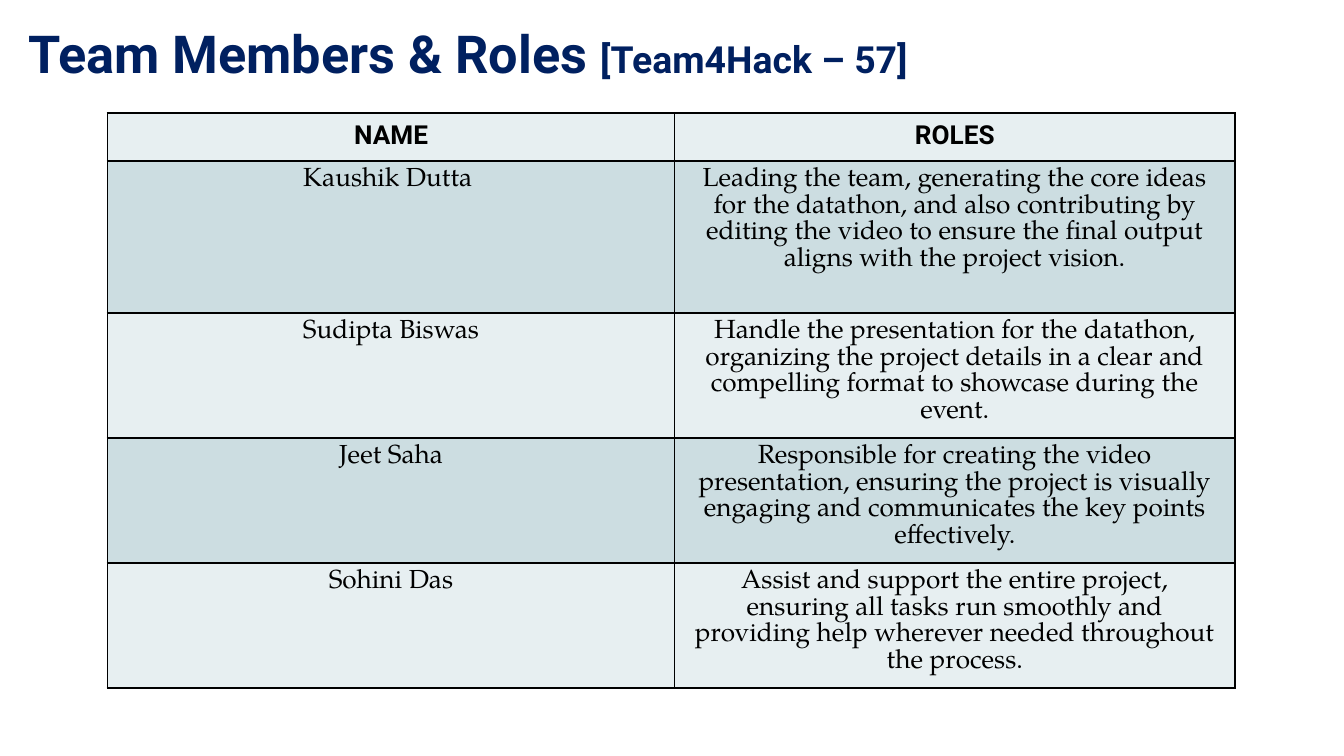
from lxml.etree import SubElement
from pptx import Presentation
from pptx.dml.color import RGBColor
from pptx.enum.text import MSO_ANCHOR, MSO_AUTO_SIZE, PP_ALIGN
from pptx.oxml.ns import qn
from pptx.util import Inches, Pt

NAVY = RGBColor(0x00, 0x20, 0x60)
BLACK = RGBColor(0x00, 0x00, 0x00)
PALE = RGBColor(0xE7, 0xEF, 0xF1)
TEAL = RGBColor(0xCC, 0xDD, 0xE1)

HEADING_FONT = "Roboto"
BODY_FONT = "TeX Gyre Pagella"

MEMBERS = [
    ("NAME", "ROLES"),
    ("Kaushik Dutta ", "Leading the team, generating the core ideas for the datathon, and also "
     "contributing by editing the video to ensure the final output aligns with the project vision."),
    ("Sudipta Biswas", "Handle the presentation for the datathon, organizing the project details "
     "in a clear and compelling format to showcase during the event."),
    ("Jeet Saha", "Responsible for creating the video presentation, ensuring the project is "
     "visually engaging and communicates the key points effectively."),
    ("Sohini Das", "Assist and support the entire project, ensuring all tasks run smoothly and "
     "providing help wherever needed throughout the process."),
]
COLUMN_WIDTHS = (4.22, 4.17)
ROW_HEIGHTS = (0.36, 1.13, 0.93, 0.93, 0.93)


def style_run(run, font_name, size, color, bold):
    run.font.name = font_name
    run.font.size = Pt(size)
    run.font.color.rgb = color
    run.font.bold = bold


def add_heading(slide, left, top, width, height):
    heading = slide.shapes.title
    heading.left, heading.top = Inches(left), Inches(top)
    heading.width, heading.height = Inches(width), Inches(height)
    frame = heading.text_frame
    frame.auto_size = MSO_AUTO_SIZE.NONE
    frame.vertical_anchor = MSO_ANCHOR.TOP
    frame.margin_left = frame.margin_right = Inches(0.1)
    frame.margin_top = frame.margin_bottom = Inches(0.1)
    line = frame.paragraphs[0]
    line.alignment = PP_ALIGN.LEFT
    for words, size in (("Team Members & Roles ", 28), ("[Team4Hack – 57]", 20)):
        run = line.add_run()
        run.text = words
        style_run(run, HEADING_FONT, size, NAVY, True)


def add_borders(cell):
    properties = cell._tc.get_or_add_tcPr()
    for position, side in enumerate(("a:lnL", "a:lnR", "a:lnT", "a:lnB")):
        border = SubElement(properties, qn(side), w=str(Pt(1)))
        fill = SubElement(border, qn("a:solidFill"))
        SubElement(fill, qn("a:srgbClr"), val=str(BLACK))
        properties.insert(position, border)


def fill_cell(cell, words, is_header, color):
    cell.fill.solid()
    cell.fill.fore_color.rgb = color
    add_borders(cell)
    paragraph = cell.text_frame.paragraphs[0]
    paragraph.text = words
    paragraph.alignment = PP_ALIGN.CENTER
    if not is_header:
        paragraph.line_spacing = Pt(14.15)
    font_name = HEADING_FONT if is_header else BODY_FONT
    style_run(paragraph.runs[0], font_name, 14, BLACK, is_header)


def add_roles_table(slide, left, top):
    roles = slide.shapes.add_table(
        len(MEMBERS), len(COLUMN_WIDTHS), Inches(left), Inches(top),
        Inches(sum(COLUMN_WIDTHS)), Inches(sum(ROW_HEIGHTS))).table
    for column, width in zip(roles.columns, COLUMN_WIDTHS):
        column.width = Inches(width)
    for index, (row, height, member) in enumerate(zip(roles.rows, ROW_HEIGHTS, MEMBERS)):
        row.height = Inches(height)
        for cell, words in zip(row.cells, member):
            fill_cell(cell, words, index == 0, TEAL if index % 2 else PALE)


def main():
    deck = Presentation()
    deck.slide_width = Inches(10)
    deck.slide_height = deck.slide_width * 9 // 16
    slide = deck.slides.add_slide(deck.slide_layouts[5])
    add_heading(slide, 0.11, 0.06, 9.32, 0.64)
    add_roles_table(slide, 0.8, 0.84)
    deck.save("out.pptx")


if __name__ == "__main__":
    main()
